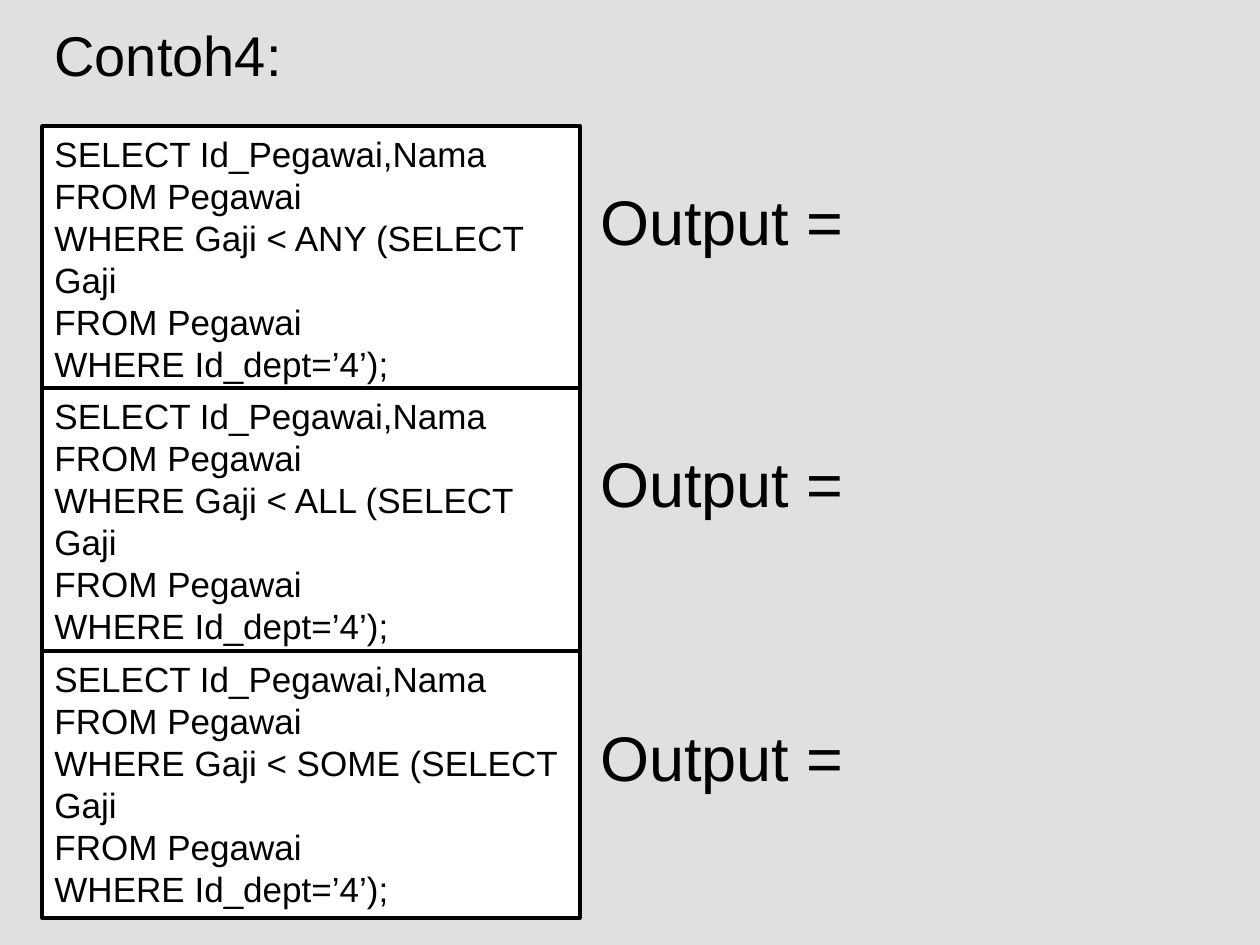
import pptx
import pptx.dml.color
import pptx.enum.shapes
import pptx.enum.text
import pptx.util

RGB = pptx.dml.color.RGBColor
THEME = {
    "background": RGB(0xE0, 0xE0, 0xE0),
    "box": RGB(0xFF, 0xFF, 0xFF),
    "ink": RGB(0, 0, 0),
    "font": "Arial",
    "title": 32,
    "query": 20,
    "output": 36,
    "border": 2,
}
PX_PER_INCH = 126


def px(n):
    return pptx.util.Inches(n / PX_PER_INCH)


def write(s, lines, size):
    """Fill a shape with left-aligned lines, one paragraph each."""
    tf = s.text_frame
    tf.word_wrap = True
    tf.vertical_anchor = pptx.enum.text.MSO_ANCHOR.TOP
    tf.auto_size = pptx.enum.text.MSO_AUTO_SIZE.SHAPE_TO_FIT_TEXT
    for i, line in enumerate(lines):
        p = tf.paragraphs[0] if i == 0 else tf.add_paragraph()
        p.alignment = pptx.enum.text.PP_ALIGN.LEFT
        r = p.add_run()
        r.text = line
        r.font.name = THEME["font"]
        r.font.size = pptx.util.Pt(size)
        r.font.color.rgb = THEME["ink"]


prs = pptx.Presentation()
prs.slide_width, prs.slide_height = px(1260), px(945)
slide = prs.slides.add_slide(prs.slide_layouts[6])
slide.background.fill.solid()
slide.background.fill.fore_color.rgb = THEME["background"]

# One query per comparison operator: operator, box top, output label top
queries = [("ANY", 126, 176), ("ALL", 388, 438), ("SOME", 651, 712)]

for operator, box_top, _ in queries:
    s = slide.shapes.add_shape(
        pptx.enum.shapes.MSO_SHAPE.RECTANGLE, px(42), px(box_top), px(538), px(267))
    s.shadow.inherit = False
    s.fill.solid()
    s.fill.fore_color.rgb = THEME["box"]
    s.line.color.rgb = THEME["ink"]
    s.line.width = pptx.util.Pt(THEME["border"])
    write(s, [
        "SELECT Id_Pegawai,Nama",
        "FROM Pegawai",
        f"WHERE Gaji < {operator} (SELECT Gaji",
        "FROM Pegawai",
        "WHERE Id_dept=’4’);",
    ], THEME["query"])

title = slide.shapes.add_textbox(px(42), px(14), px(472), px(81))
write(title, ["Contoh4:"], THEME["title"])

for _, _, label_top in queries:
    label = slide.shapes.add_textbox(px(588), px(label_top), px(462), px(89))
    write(label, ["Output ="], THEME["output"])

prs.save("out.pptx")
